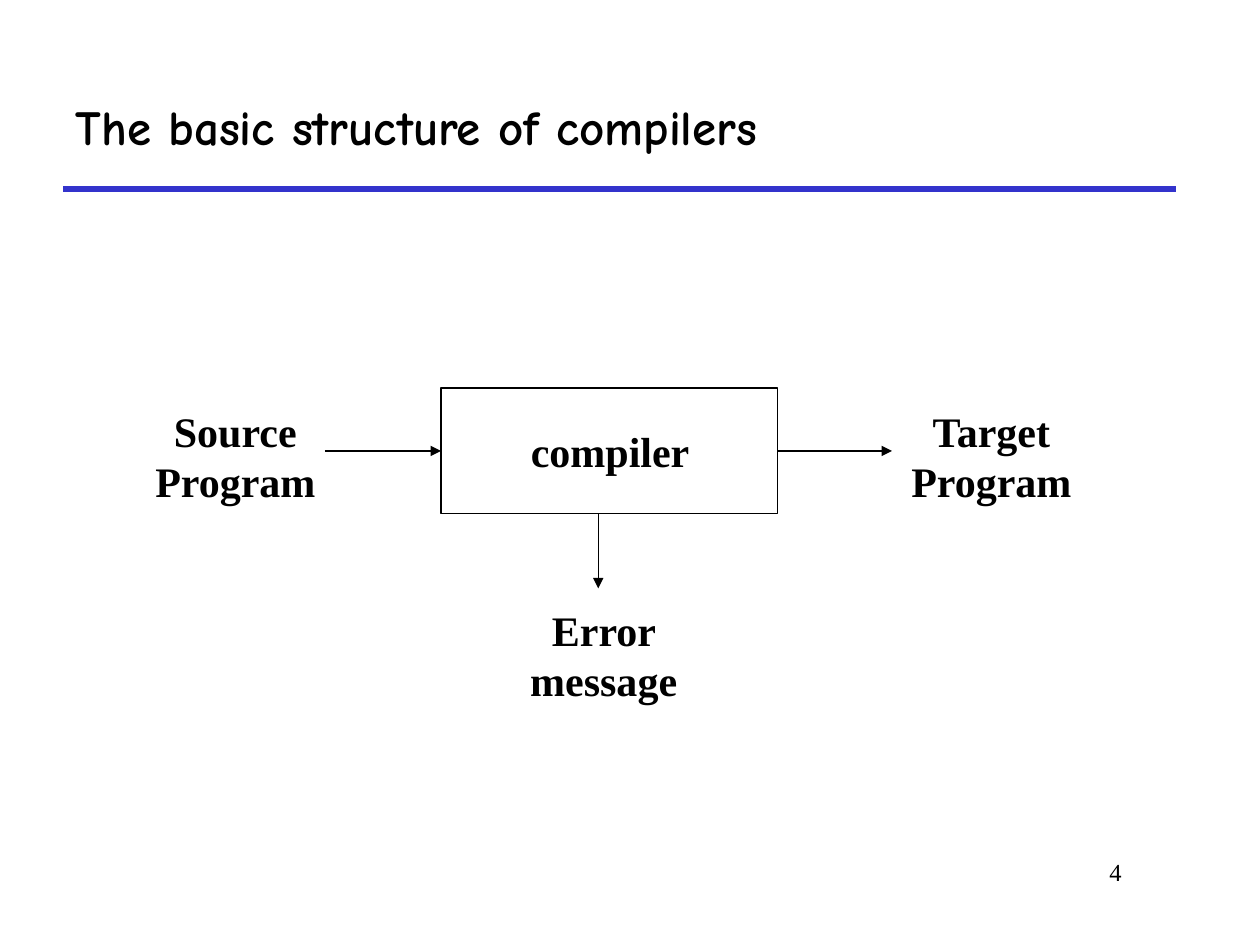
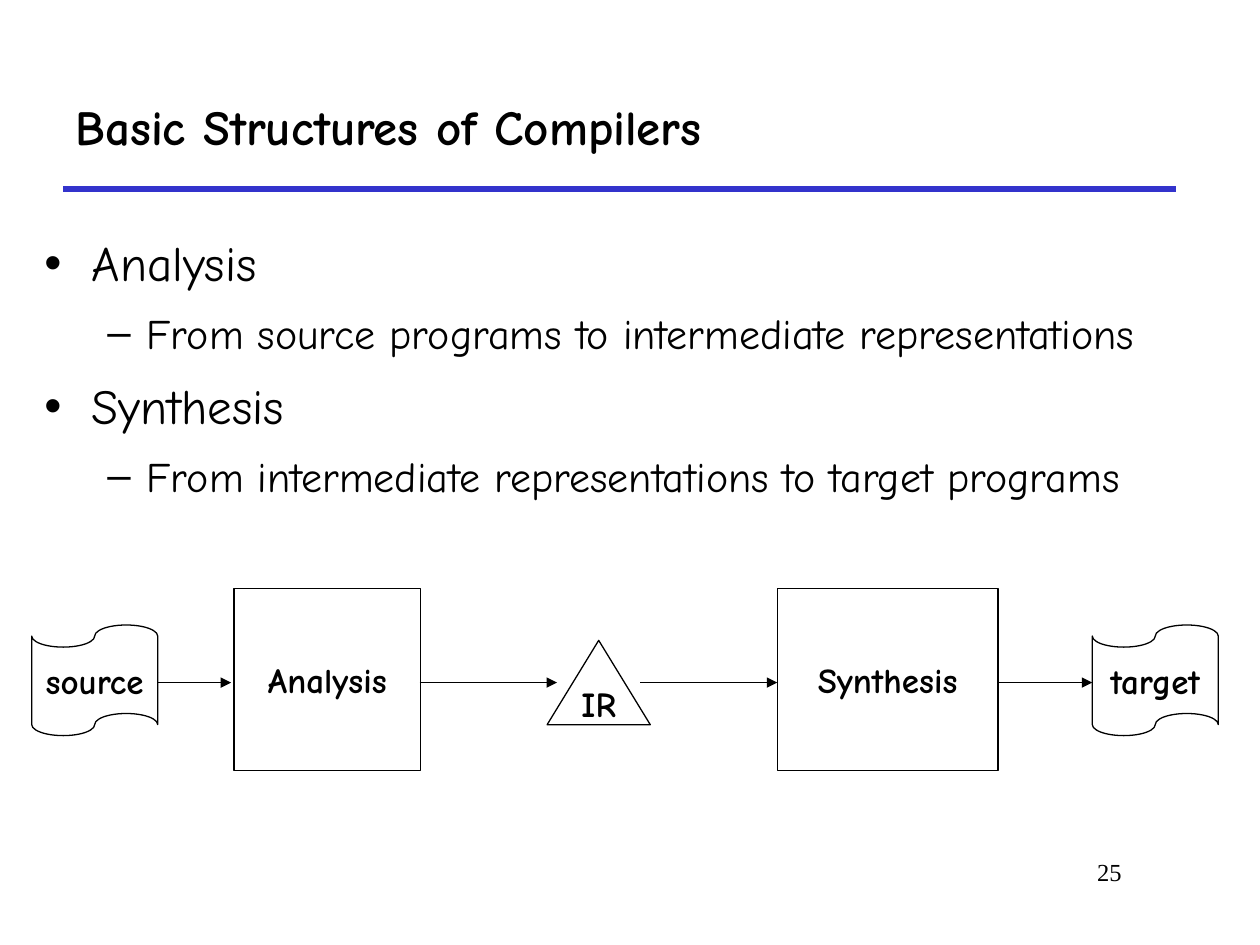
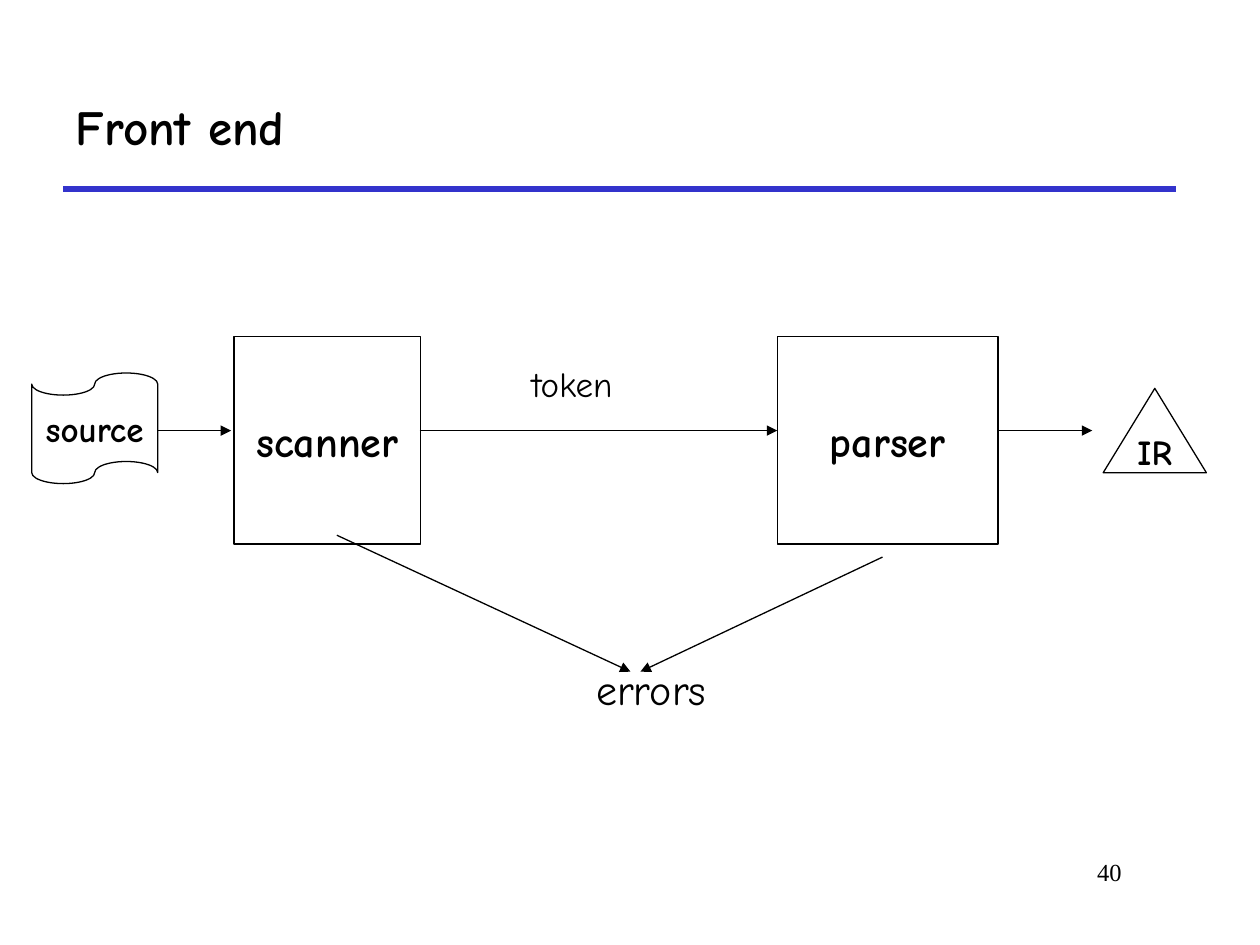
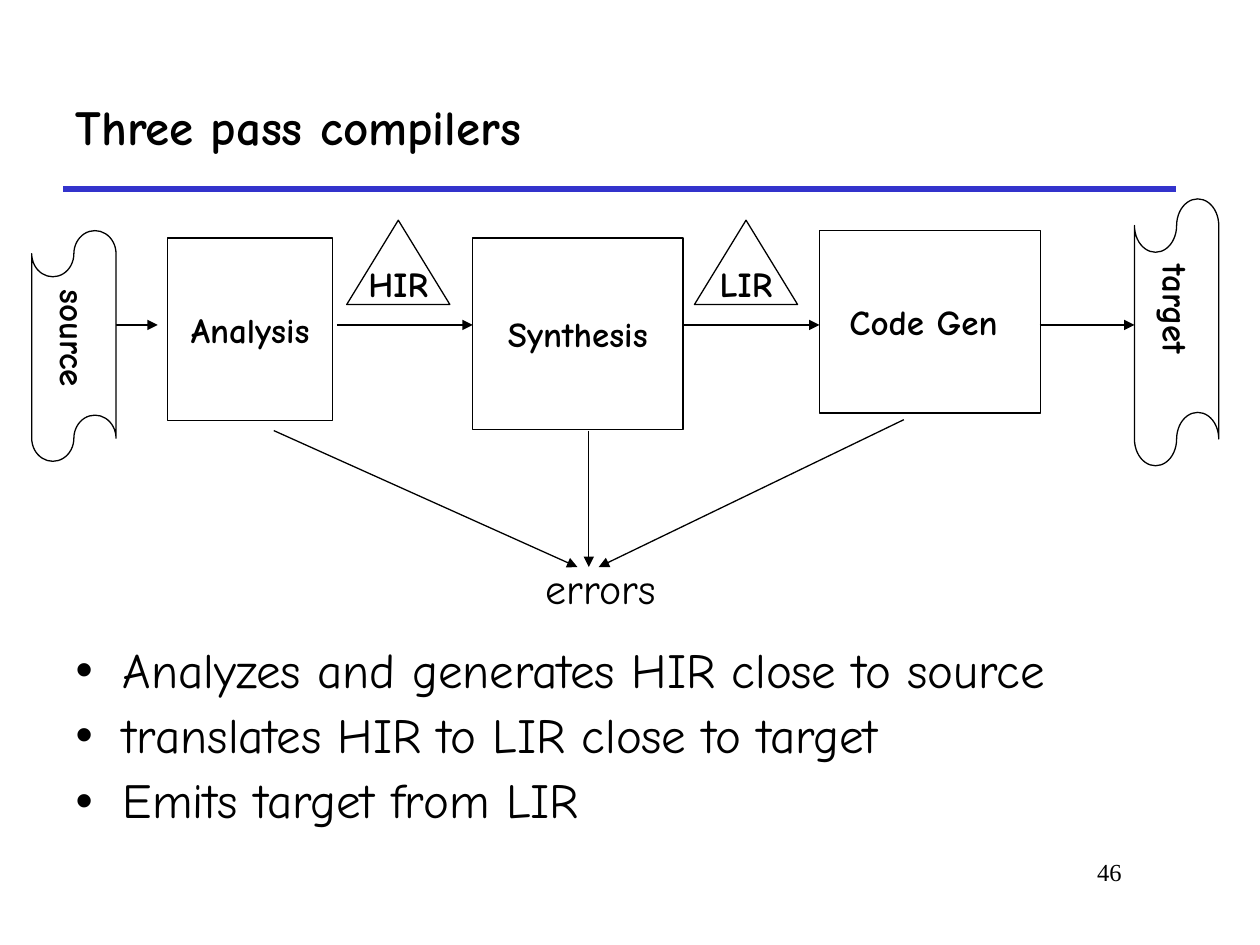
import dataclasses
import typing

import pptx
import pptx.dml.color
import pptx.enum.shapes
import pptx.enum.text
import pptx.oxml
import pptx.oxml.ns
import pptx.util

Cm = pptx.util.Cm
Pt = pptx.util.Pt
SHAPE = pptx.enum.shapes.MSO_SHAPE
ALIGN = pptx.enum.text.PP_ALIGN
ANCHOR = pptx.enum.text.MSO_ANCHOR

# Shared look
BLACK, WHITE, RULE_BLUE = "000000", "FFFFFF", "3333CC"
HAND_FONT, SERIF_FONT = "Comic Neue", "Times New Roman"
TITLE_BOX = (1.27, 1.27, 22.43, 2.54)
NUMBER_BOX = (19.25, 17.15, 3.61, 1.27)
TRIANGLE_SIZE = (2.08, 1.7)


def color(hex_string):
    return pptx.dml.color.RGBColor.from_string(hex_string)


def style(paragraph, size, font=HAND_FONT, bold=False, align=ALIGN.LEFT):
    paragraph.alignment = align
    paragraph.font.name = font
    paragraph.font.size = Pt(size)
    paragraph.font.bold = bold
    paragraph.font.color.rgb = color(BLACK)


def place(shape, box):
    shape.left, shape.top, shape.width, shape.height = map(Cm, box)


def add_line(shapes, start, end, hex_string=BLACK, width=0.75, arrow=False):
    line = shapes.add_connector(pptx.enum.shapes.MSO_CONNECTOR.STRAIGHT, *map(Cm, start + end))
    line.line.color.rgb = color(hex_string)
    line.line.width = Pt(width)
    properties = line.element.spPr
    if arrow:
        head = pptx.oxml.parse_xml(f'<a:tailEnd {pptx.oxml.ns.nsdecls("a")} type="triangle"/>')
        properties.find(pptx.oxml.ns.qn("a:ln")).append(head)
    properties.append(pptx.oxml.parse_xml(f'<a:effectLst {pptx.oxml.ns.nsdecls("a")}/>'))
    return line


def add_text(shapes, box, text, size, wrap=True, **looks):
    text_box = shapes.add_textbox(*map(Cm, box))
    frame = text_box.text_frame
    frame.word_wrap = wrap
    frame.text = text
    style(frame.paragraphs[0], size, **looks)


@dataclasses.dataclass
class Diagram:
    """Places diagram elements, in cm, relative to its top left corner."""
    shapes: typing.Any
    left: float
    top: float

    def shift(self, x, y, *size):
        return (self.left + x, self.top + y) + size

    def node(self, kind, box, text="", size=20, fill=None, vertical=False):
        shape = self.shapes.add_shape(kind, *map(Cm, self.shift(*box)))
        shape.shadow.inherit = False
        if fill:
            shape.fill.solid()
            shape.fill.fore_color.rgb = color(fill)
        else:
            shape.fill.background()
        shape.line.color.rgb = color(BLACK)
        shape.line.width = Pt(0.75)
        if text:
            frame = shape.text_frame
            frame.word_wrap = fill is None
            frame.vertical_anchor = ANCHOR.MIDDLE
            frame.text = text
            style(frame.paragraphs[0], size, bold=True, align=ALIGN.CENTER)
            if vertical:
                frame.margin_left = frame.margin_right = Cm(0.13)
                frame.margin_top = frame.margin_bottom = Cm(0.25)
                shape.element.txBody.bodyPr.set("vert", "eaVert")

    def stage(self, box, text="", size=20):
        self.node(SHAPE.RECTANGLE, box, text, size)

    def tape(self, box, text, vertical=False):
        self.node(SHAPE.FLOWCHART_PUNCHED_TAPE, box, text, fill=WHITE, vertical=vertical)

    def triangle(self, x, y, text):
        self.node(SHAPE.ISOSCELES_TRIANGLE, (x, y) + TRIANGLE_SIZE, text, fill=WHITE)

    def arrow(self, start, end):
        add_line(self.shapes, self.shift(*start), self.shift(*end), arrow=True)

    def arrows_along(self, y, spans):
        for start, end in spans:
            self.arrow((start, y), (end, y))

    def label(self, box, text, size=24, **looks):
        add_text(self.shapes, self.shift(*box), text, size, **looks)


# Slide frame: title, page number, list
def add_slide(presentation, title, number, items=(), body_box=None, spacing=1.0):
    layout = presentation.slide_layouts[1 if items else 5]
    slide = presentation.slides.add_slide(layout)
    place(slide.shapes.title, TITLE_BOX)
    frame = slide.shapes.title.text_frame
    frame.vertical_anchor = ANCHOR.MIDDLE
    frame.auto_size = pptx.enum.text.MSO_AUTO_SIZE.NONE
    frame.text = title
    style(frame.paragraphs[0], 28, bold=True)
    add_text(slide.shapes, NUMBER_BOX, str(number), 14, font=SERIF_FONT, align=ALIGN.RIGHT)
    if items:
        fill_list(slide.placeholders[1], body_box, items, spacing)
    return slide


def fill_list(body, box, items, spacing):
    place(body, box)
    frame = body.text_frame
    frame.auto_size = pptx.enum.text.MSO_AUTO_SIZE.NONE
    frame.text = "\n".join(text for level, text in items)
    for paragraph, (level, text) in zip(frame.paragraphs, items):
        paragraph.level = level
        paragraph.line_spacing = spacing
        paragraph.space_before = Pt(7 - level)
        style(paragraph, 28 - 4 * level)


def add_master_rule(presentation, slide):
    rule = add_line(slide.shapes, (1.27, 3.81), (23.7, 3.81), RULE_BLUE, 3)
    presentation.slide_master.shapes.element.append(rule.element)


# Compiler as one box
def draw_compiler(diagram):
    looks = {"font": SERIF_FONT, "bold": True, "align": ALIGN.CENTER}
    diagram.stage((6.15, 0, 6.78, 2.54))
    diagram.label((7.21, 0.64, 4.7, 1.27), "compiler", **looks)
    diagram.arrows_along(1.27, [(3.81, 6.15), (12.93, 15.24)])
    for x, text in ((0, "Source Program"), (15.24, "Target Program")):
        diagram.label((x, 0.23, 4.01, 2.29), text, **looks)
    diagram.arrow((9.32, 2.54), (9.32, 4.04))
    diagram.label((6.99, 4.24, 4.88, 2.29), "Error message", **looks)


# Source tape followed by two stages
def draw_two_stages(diagram, names, height, size, middle_spans):
    for x, width, name in zip((4.08, 15.03), (3.76, 4.45), names):
        diagram.stage((x, 0, width, height), name, size)
    diagram.arrows_along(1.9, [(2.54, 4.02), *middle_spans, (19.48, 21.38)])
    diagram.tape((0, 0.74, 2.54, 2.23), "source")


def draw_errors(diagram, x, y, arrows):
    diagram.label((x, y, 2.74, 1.27), "errors", wrap=False)
    for start, end in arrows:
        diagram.arrow(start, end)


def draw_analysis_synthesis(diagram):
    draw_two_stages(diagram, ("Analysis", "Synthesis"), 3.68, 20,
                    [(7.82, 10.59), (12.27, 15.03)])
    diagram.triangle(10.39, 1.05, "IR")
    diagram.tape((21.38, 0.74, 2.54, 2.23), "target")


def draw_front_end(diagram):
    draw_two_stages(diagram, ("scanner", "parser"), 4.19, 24, [(7.82, 15.03)])
    diagram.triangle(21.6, 1.05, "IR")
    diagram.label((9.83, 0.41, 2.16, 1.12), "token", 20, wrap=False)
    draw_errors(diagram, 11.13, 6.48, [((6.15, 4.01), (12.07, 6.76)),
                                       ((17.15, 4.45), (12.27, 6.76))])


# Three stages with intermediate forms between them
def draw_three_passes(diagram):
    diagram.stage((2.74, 0.79, 3.33, 3.68), "Analysis")
    diagram.stage((8.89, 0.79, 4.24, 3.86), "Synthesis")
    diagram.stage((15.88, 0.64, 4.45, 3.68), "Code Gen ")
    diagram.arrows_along(2.54, [(1.7, 2.54), (6.15, 8.89), (13.13, 15.88), (20.32, 22.23)])
    diagram.tape((0, 0.64, 1.7, 4.65), "source", vertical=True)
    diagram.tape((22.23, 0, 1.7, 5.38), "target", vertical=True)
    diagram.triangle(6.35, 0.43, "HIR")
    diagram.triangle(13.36, 0.43, "LIR")
    draw_errors(diagram, 10.11, 7.21, [((4.88, 4.67), (11, 7.42)),
                                       ((17.58, 4.45), (11.43, 7.42)),
                                       ((11.23, 4.67), (11.23, 7.42))])


def main():
    presentation = pptx.Presentation()
    presentation.slide_width, presentation.slide_height = Cm(25.4), Cm(19.05)

    slide = add_slide(presentation, "The basic structure of compilers", 4)
    add_master_rule(presentation, slide)
    draw_compiler(Diagram(slide.shapes.add_group_shape().shapes, 2.74, 7.82))

    phases = [(0, "Analysis"),
              (1, "From source programs to intermediate representations"),
              (0, "Synthesis"),
              (1, "From intermediate representations to target programs")]
    slide = add_slide(presentation, "Basic Structures of Compilers", 25,
                      phases, (0.64, 4.45, 24.33, 6.35), 1.1)
    draw_analysis_synthesis(Diagram(slide.shapes, 0.64, 11.86))

    slide = add_slide(presentation, "Front end", 40)
    draw_front_end(Diagram(slide.shapes, 0.64, 6.78))

    passes = [(0, "Analyzes and generates HIR close to source"),
              (0, "translates HIR to LIR close to target"),
              (0, "Emits target from LIR")]
    slide = add_slide(presentation, "Three pass compilers", 46,
                      passes, (1.27, 12.9, 23.06, 4.01), 0.9)
    draw_three_passes(Diagram(slide.shapes, 0.64, 4.01))

    presentation.save("out.pptx")


if __name__ == "__main__":
    main()
